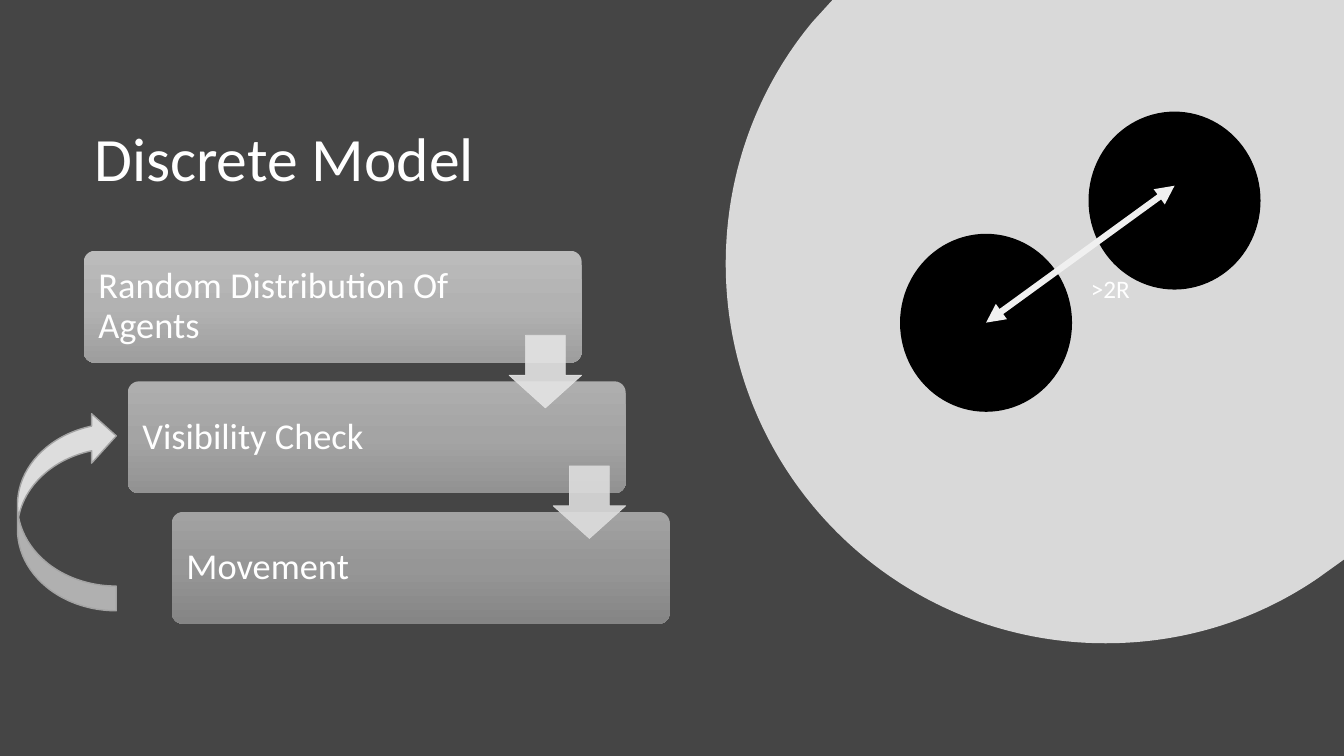
"""Builds the Discrete Model slide: three descending steps beside two agents."""
from copy import deepcopy
from dataclasses import dataclass

from lxml.etree import SubElement
from pptx import Presentation
from pptx.dml.color import RGBColor
from pptx.enum.shapes import MSO_CONNECTOR, MSO_SHAPE as SHAPE
from pptx.enum.text import MSO_ANCHOR as ANCHOR, MSO_AUTO_SIZE as AUTO, PP_ALIGN as ALIGN
from pptx.oxml.ns import qn
from pptx.shapes.autoshape import Shape
from pptx.slide import Slide
from pptx.text.text import TextFrame
from pptx.util import Cm, Pt

WIDTH, HEIGHT = 33.87, 19.05
FONT = "Calibri"
BACKGROUND = RGBColor(0x45, 0x45, 0x45)
WHITE = RGBColor(0xFF, 0xFF, 0xFF)
BLACK = RGBColor(0x00, 0x00, 0x00)
SPAN_LINE = RGBColor(0xF0, 0xF0, 0xF0)
LOOP_FILL = RGBColor(0xDD, 0xDD, 0xDD)
LOOP_LINE = RGBColor(0xA3, 0xA3, 0xA3)
ARROW_FILLS = [RGBColor(0xE4, 0xE4, 0xE4), RGBColor(0xDD, 0xDD, 0xDD)]
STEP_X, STEP_Y = 1.11, 3.29


@dataclass
class Box:
    """A frame in centimetres."""
    left: float
    top: float
    width: float
    height: float

    def lengths(self) -> tuple[Cm, Cm, Cm, Cm]:
        """Return the frame as lengths."""
        return Cm(self.left), Cm(self.top), Cm(self.width), Cm(self.height)

    def stepped(self, index: int) -> "Box":
        """Return the frame moved down the staircase."""
        return Box(self.left + index * STEP_X, self.top + index * STEP_Y, self.width, self.height)


@dataclass
class Step:
    """One stage of the model with its gradient colours."""
    label: str
    colors: tuple[RGBColor, RGBColor, RGBColor]


STEPS = [
    Step("Random Distribution Of Agents",
         (RGBColor(0xBB, 0xBB, 0xBB), RGBColor(0xB2, 0xB2, 0xB2), RGBColor(0x9E, 0x9E, 0x9E))),
    Step("Visibility Check",
         (RGBColor(0xAE, 0xAE, 0xAE), RGBColor(0xA4, 0xA4, 0xA4), RGBColor(0x92, 0x92, 0x92))),
    Step("Movement",
         (RGBColor(0xA2, 0xA2, 0xA2), RGBColor(0x96, 0x96, 0x96), RGBColor(0x85, 0x85, 0x85))),
]
FIRST_BAR = Box(2.11, 6.32, 12.55, 2.82)
FIRST_LABEL = Box(2.2, 6.41, 9.53, 2.64)
FIRST_ARROW = Box(12.83, 8.45, 1.83, 1.83)
LOOP = Box(0.44, 10.36, 2.49, 5.03)
AGENTS = [Box(22.7, 5.91, 4.3, 4.45), Box(27.45, 2.83, 4.3, 4.45)]
DISC_CORNERS = [(20.98, 0), (20.47, 0.56)]
DISC_CURVES = [
    (19.1, 2.21), (18.29, 4.34), (18.29, 6.65),
    (18.29, 11.94), (22.58, 16.21), (27.86, 16.21),
    (29.85, 16.21), (31.67, 15.62), (33.2, 14.58),
]
DISC_END = (WIDTH, 14.1)


def write(tf: TextFrame, text: str, size: int, spacing: float | None = None) -> None:
    """Set left-aligned white text."""
    tf.text = text
    tf.word_wrap = True
    p = tf.paragraphs[0]
    p.alignment = ALIGN.LEFT
    p.line_spacing = spacing
    font = p.runs[0].font
    font.name, font.size, font.color.rgb = FONT, Pt(size), WHITE


def make_transparent(sp: Shape, percent: int) -> None:
    """Give every solid colour of a shape the same opacity."""
    for color in sp.element.spPr.iter(qn("a:srgbClr")):
        SubElement(color, qn("a:alpha"), val=str(percent * 1000))


def paint(sp: Shape, fill: RGBColor, line: RGBColor | None = None, width: float = 1) -> None:
    """Apply a flat fill and an optional outline."""
    sp.shadow.inherit = False
    sp.fill.solid()
    sp.fill.fore_color.rgb = fill
    if line is None:
        sp.line.fill.background()
    else:
        sp.line.color.rgb = line
        sp.line.width = Pt(width)


def add_title(slide: Slide) -> None:
    """Place the title."""
    sp = slide.shapes.title
    sp.left, sp.top, sp.width, sp.height = Box(2.12, 2.24, 14.76, 3.68).lengths()
    tf = sp.text_frame
    write(tf, "Discrete Model", 44, 0.9)
    tf.auto_size = AUTO.NONE
    tf.vertical_anchor = ANCHOR.MIDDLE


def add_disc(slide: Slide) -> None:
    """Draw the large pale disc cut by the slide's top and right edges."""
    points = [*DISC_CORNERS, *DISC_CURVES, DISC_END]
    builder = slide.shapes.build_freeform(Cm(WIDTH), Cm(0))
    builder.add_line_segments([(Cm(x), Cm(y)) for x, y in points], close=True)
    sp = builder.convert_to_shape()
    first = len(DISC_CORNERS)
    segments = list(sp.element.spPr.iter(qn("a:lnTo")))[first:first + len(DISC_CURVES)]
    for i in range(0, len(segments), 3):
        curve = segments[i].makeelement(qn("a:cubicBezTo"))
        segments[i].addprevious(curve)
        for segment in segments[i:i + 3]:
            curve.append(segment[0])
            segment.getparent().remove(segment)
    paint(sp, WHITE)
    make_transparent(sp, 80)


def add_step(slide: Slide, step: Step, index: int) -> None:
    """Draw a gradient bar with its label."""
    sp = slide.shapes.add_shape(SHAPE.ROUNDED_RECTANGLE, *FIRST_BAR.stepped(index).lengths())
    sp.adjustments[0] = 0.1
    sp.shadow.inherit = False
    sp.line.fill.background()
    sp.fill.gradient()
    sp.fill.gradient_angle = 270
    stops = sp.element.spPr.find(qn("a:gradFill")).find(qn("a:gsLst"))
    stops.append(deepcopy(stops[0]))
    for stop, color, position in zip(sp.fill.gradient_stops, step.colors, (0, 0.5, 1)):
        stop.color.rgb = color
        stop.position = position
    label = slide.shapes.add_textbox(*FIRST_LABEL.stepped(index).lengths())
    tf = label.text_frame
    write(tf, step.label, 26, 0.9)
    tf.vertical_anchor = ANCHOR.MIDDLE
    tf.margin_left = tf.margin_right = tf.margin_top = tf.margin_bottom = Cm(0.28)


def add_down_arrow(slide: Slide, box: Box, color: RGBColor) -> None:
    """Draw an arrow leading to the next step."""
    sp = slide.shapes.add_shape(SHAPE.DOWN_ARROW, *box.lengths())
    sp.adjustments[0], sp.adjustments[1] = 0.55, 0.45
    paint(sp, color, color, 0.5)
    make_transparent(sp, 90)


def add_span(slide: Slide) -> None:
    """Draw the two-headed arrow between the agents and its label."""
    line = slide.shapes.add_connector(
        MSO_CONNECTOR.STRAIGHT, Cm(24.85), Cm(8.13), Cm(29.6), Cm(4.68))
    line.line.color.rgb = SPAN_LINE
    line.line.width = Pt(4.5)
    ln = line.element.spPr.find(qn("a:ln"))
    for end in ("a:headEnd", "a:tailEnd"):
        SubElement(ln, qn(end), type="triangle")
    SubElement(line.element.spPr, qn("a:effectLst"))
    label = slide.shapes.add_textbox(*Box(27.24, 6.76, 3.86, 1.02).lengths())
    write(label.text_frame, ">2R", 18)
    label.text_frame.auto_size = AUTO.SHAPE_TO_FIT_TEXT


def main() -> None:
    """Build and save the slide."""
    prs = Presentation()
    prs.slide_width, prs.slide_height = Cm(WIDTH), Cm(HEIGHT)
    slide = prs.slides.add_slide(prs.slide_layouts.get_by_name("Title Only"))
    slide.background.fill.solid()
    slide.background.fill.fore_color.rgb = BACKGROUND
    add_title(slide)
    add_disc(slide)
    for i, step in enumerate(STEPS):
        add_step(slide, step, i)
    for i, color in enumerate(ARROW_FILLS):
        add_down_arrow(slide, FIRST_ARROW.stepped(i), color)
    loop = slide.shapes.add_shape(SHAPE.CURVED_LEFT_ARROW, *LOOP.lengths())
    loop.rotation = 180
    paint(loop, LOOP_FILL, LOOP_LINE)
    for box in AGENTS:
        paint(slide.shapes.add_shape(SHAPE.OVAL, *box.lengths()), BLACK, BLACK)
    add_span(slide)
    prs.save("out.pptx")


if __name__ == "__main__":
    main()
